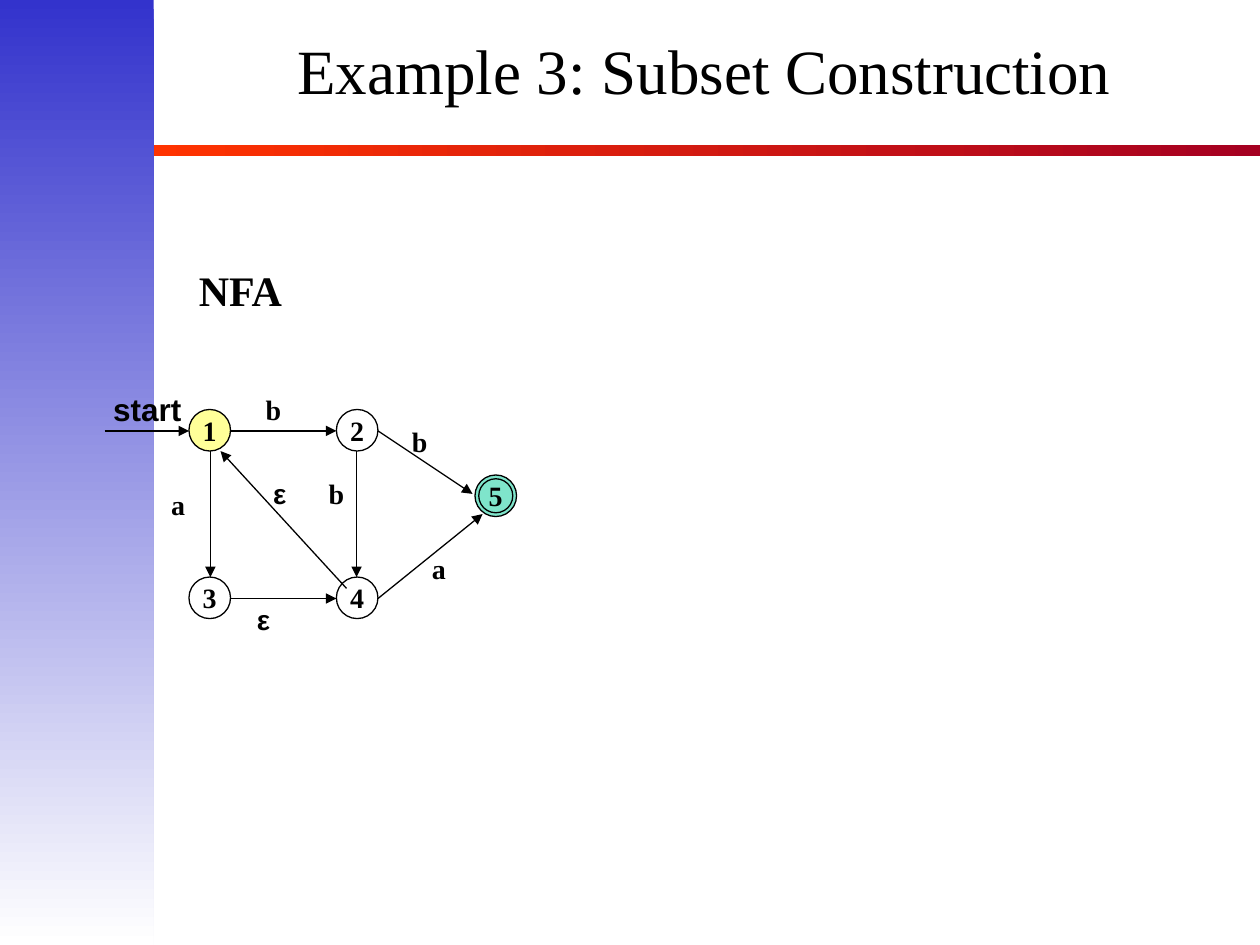
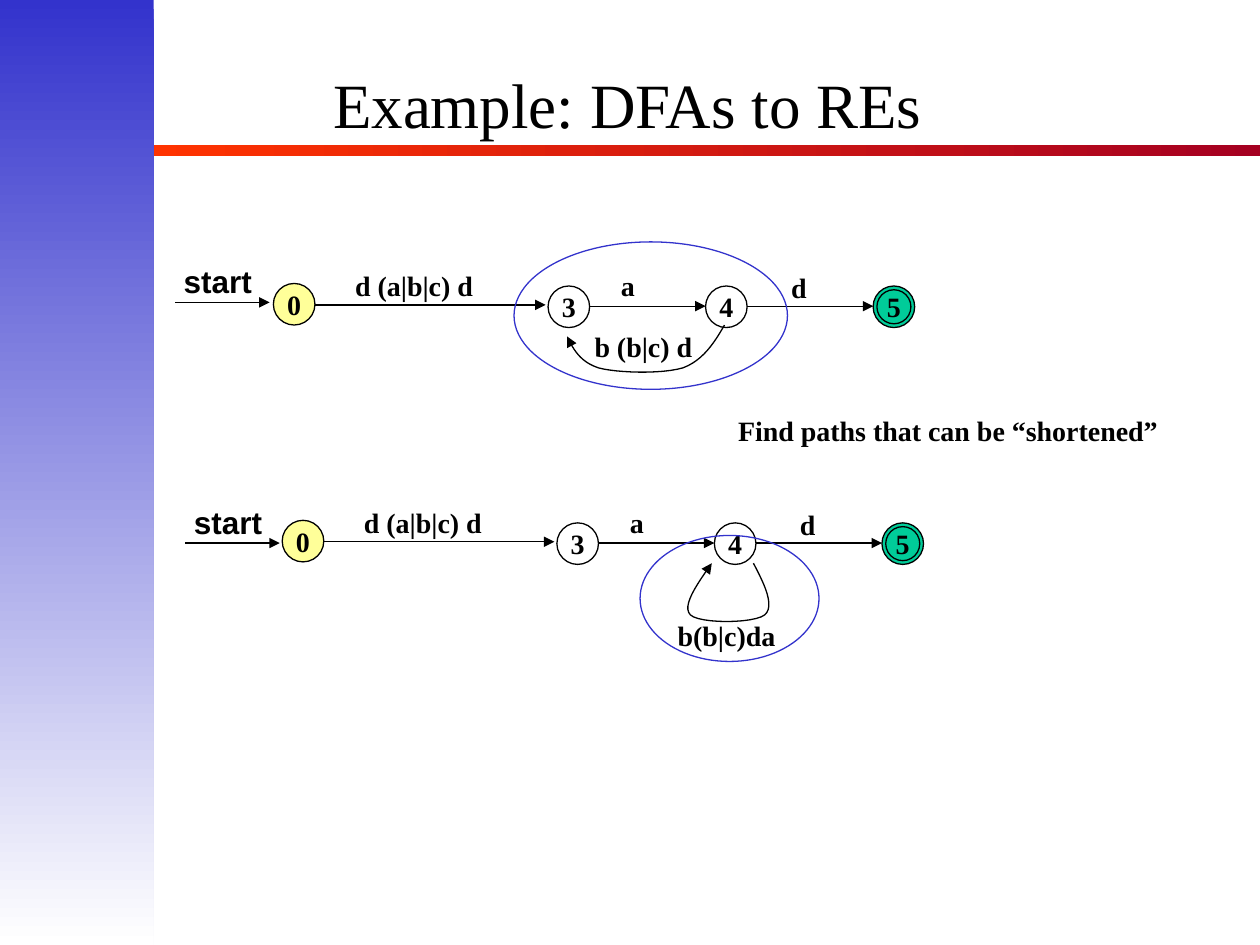
import pptx
import pptx.util
from pptx.dml.color import RGBColor
from pptx.enum.shapes import MSO_CONNECTOR, MSO_SHAPE
from pptx.enum.text import MSO_ANCHOR, MSO_AUTO_SIZE, PP_ALIGN
from pptx.oxml.ns import qn
from pptx.util import Inches
from lxml import etree

BLACK = RGBColor(0x00, 0x00, 0x00)
WHITE = RGBColor(0xFF, 0xFF, 0xFF)
BLUE = RGBColor(0x33, 0x33, 0xCC)
ORANGE_RED = RGBColor(0xFF, 0x33, 0x00)
DARK_RED = RGBColor(0xA5, 0x00, 0x21)
START_YELLOW = RGBColor(0xFF, 0xFF, 0x99)
ACCEPT_GREEN = RGBColor(0x00, 0xCC, 0x99)

SERIF = "Times New Roman"
SANS = "Arial"
STATE_SIZE = 0.33
RING_INSET = 0.03
LINE_WIDTH = pptx.util.Pt(0.75)
CURVE_STEPS = 12


def write(frame, text, size, font=SERIF, bold=True, align=PP_ALIGN.LEFT):
    frame.text = text
    paragraph = frame.paragraphs[0]
    paragraph.alignment = align
    run_font = paragraph.runs[0].font
    run_font.name = font
    run_font.size = pptx.util.Pt(size)
    run_font.bold = bold
    run_font.color.rgb = BLACK
    return paragraph


def add_gradient_band(slide, box, colors, angle):
    band = slide.shapes.add_shape(MSO_SHAPE.RECTANGLE, *map(Inches, box))
    band.shadow.inherit = False
    band.line.fill.background()
    band.fill.gradient()
    band.fill.gradient_angle = angle
    for stop, color in zip(band.fill.gradient_stops, colors):
        stop.color.rgb = color


def add_slide(deck, title, title_box):
    """Add a blank slide with the shared bands and a centred title."""
    slide = deck.slides.add_slide(deck.slide_layouts[6])
    add_gradient_band(slide, (1.2, 1.15, 8.8, 0.09), (ORANGE_RED, DARK_RED), 0)
    add_gradient_band(slide, (0, 0, 1.22, 7.5), (BLUE, WHITE), 270)
    frame = slide.shapes.add_textbox(*map(Inches, title_box)).text_frame
    frame.word_wrap = True
    frame.vertical_anchor = MSO_ANCHOR.MIDDLE
    write(frame, title, 36, bold=False, align=PP_ALIGN.CENTER).line_spacing = 0.8
    return slide


def add_ellipse(slide, box, fill=None, outline=BLACK):
    ellipse = slide.shapes.add_shape(MSO_SHAPE.OVAL, *map(Inches, box))
    ellipse.shadow.inherit = False
    ellipse.line.color.rgb = outline
    ellipse.line.width = LINE_WIDTH
    if fill is None:
        ellipse.fill.background()
    else:
        ellipse.fill.solid()
        ellipse.fill.fore_color.rgb = fill
    return ellipse


def add_state(slide, name, left, top, fill=None):
    state = add_ellipse(slide, (left, top, STATE_SIZE, STATE_SIZE), fill)
    frame = state.text_frame
    frame.word_wrap = False
    frame.vertical_anchor = MSO_ANCHOR.MIDDLE
    write(frame, name, 16, align=PP_ALIGN.CENTER)
    return state


def add_accepting_state(slide, name, left, top):
    """Draw a green state with the inner ring that marks acceptance."""
    state = add_state(slide, name, left, top, ACCEPT_GREEN)
    ring = STATE_SIZE - 2 * RING_INSET
    add_ellipse(slide, (left + RING_INSET, top + RING_INSET, ring, ring))
    return state


def make_half_transparent(shape):
    color = shape._element.spPr.find(qn("a:solidFill"))[0]
    etree.SubElement(color, qn("a:alpha")).set("val", "50000")


def finish_arrow(arrow):
    """Give a connector or curve its black line and closing arrowhead."""
    arrow.line.color.rgb = BLACK
    arrow.line.width = LINE_WIDTH
    outline = arrow._element.spPr.find(qn("a:ln"))
    etree.SubElement(outline, qn("a:tailEnd")).set("type", "triangle")


def add_arrow(slide, x1, y1, x2, y2):
    arrow = slide.shapes.add_connector(
        MSO_CONNECTOR.STRAIGHT, *map(Inches, (x1, y1, x2, y2)))
    finish_arrow(arrow)
    etree.SubElement(arrow._element.spPr, qn("a:effectLst"))


def bezier(p0, p1, p2, p3):
    for step in range(1, CURVE_STEPS + 1):
        t = step / CURVE_STEPS
        u = 1 - t
        yield tuple(
            Inches(u**3 * a + 3 * u * u * t * b + 3 * u * t * t * c + t**3 * d)
            for a, b, c, d in zip(p0, p1, p2, p3))


def add_curved_arrow(slide, knots):
    """Draw joined cubic curves; knots are start, then control, control, end."""
    points = [point for i in range(0, len(knots) - 1, 3)
              for point in bezier(*knots[i:i + 4])]
    builder = slide.shapes.build_freeform(*map(Inches, knots[0]))
    builder.add_line_segments(points, close=False)
    curve = builder.convert_to_shape()
    curve.shadow.inherit = False
    curve.fill.background()
    finish_arrow(curve)


def add_label(slide, text, left, top, width, height=0.37, size=16, font=SERIF):
    label = slide.shapes.add_textbox(*map(Inches, (left, top, width, height)))
    frame = label.text_frame
    frame.word_wrap = False
    frame.auto_size = MSO_AUTO_SIZE.SHAPE_TO_FIT_TEXT
    write(frame, text, size, font)


def add_start(slide, left, y, length):
    add_arrow(slide, left, y, left + length, y)
    add_label(slide, "start", left - 0.03, y - 0.37, 0.76, 0.4, 18, SANS)


def build_subset_construction(deck):
    slide = add_slide(deck, "Example 3: Subset Construction", (1.18, 0, 8.82, 1.22))
    add_label(slide, "NFA", 1.48, 2.05, 0.88, 0.5, 24)

    for name, left, top, fill in (("1", 1.5, 3.25, START_YELLOW), ("2", 2.67, 3.25, WHITE),
                                  ("3", 1.5, 4.58, WHITE), ("4", 2.67, 4.58, WHITE)):
        add_state(slide, name, left, top, fill)
    make_half_transparent(add_accepting_state(slide, "5", 3.77, 3.77))

    for y in (3.42, 4.75):
        add_arrow(slide, 1.83, y, 2.67, y)
    for x in (1.67, 2.83):
        add_arrow(slide, x, 3.58, x, 4.58)
    add_arrow(slide, 3, 4.75, 3.83, 4.08)
    add_arrow(slide, 3, 3.42, 3.75, 3.92)
    add_arrow(slide, 2.75, 4.67, 1.75, 3.58)
    add_start(slide, 0.83, 3.42, 0.67)

    for left, top in ((2.01, 3.07), (2.51, 3.73), (3.17, 3.32)):
        add_label(slide, "b", left, top, 0.32)
    for left, top in ((1.26, 3.82), (3.33, 4.33)):
        add_label(slide, "a", left, top, 0.31)
    for left, top in ((1.94, 4.73), (2.07, 3.73)):
        add_label(slide, "ε", left, top, 0.29, font=SANS)


def add_dfa_row(slide, dx, dy):
    """Draw the chain 0, 3, 4, 5, moved by dx and dy from the first row."""
    add_state(slide, "0", 2.17 + dx, 2.25 + dy, START_YELLOW)
    add_state(slide, "3", 4.35 + dx, 2.27 + dy)
    add_state(slide, "4", 5.6 + dx, 2.27 + dy)
    add_accepting_state(slide, "5", 6.93 + dx, 2.27 + dy)
    for x1, x2, y in ((2.5, 4.33, 2.42), (4.68, 5.6, 2.43), (5.93, 6.93, 2.43)):
        add_arrow(slide, x1 + dx, y + dy, x2 + dx, y + dy)
    for text, left, top, width in (("d (a|b|c) d", 2.72, 2.08, 1.18),
                                   ("a", 4.83, 2.08, 0.31), ("d", 6.18, 2.1, 0.32)):
        add_label(slide, text, left + dx, top + dy, width)


def build_dfas_to_res(deck):
    slide = add_slide(deck, "Example: DFAs to REs", (0.73, 0.25, 8.5, 1.25))

    add_dfa_row(slide, 0, 0)
    add_start(slide, 1.39, 2.4, 0.75)
    add_curved_arrow(slide, [
        (5.75, 2.58), (5.67, 2.72), (5.58, 2.86), (5.42, 2.92), (5.25, 2.97),
        (4.9, 2.96), (4.75, 2.92), (4.6, 2.87), (4.55, 2.77), (4.5, 2.67)])
    add_label(slide, "b (b|c) d", 4.62, 2.57, 1.02)
    add_ellipse(slide, (4.08, 1.92, 2.17, 1.17), outline=BLUE)

    add_label(slide, "Find paths that can be “shortened”", 5.76, 3.23, 3.57)

    add_dfa_row(slide, 0.07, 1.88)
    add_start(slide, 1.47, 4.31, 0.75)
    add_curved_arrow(slide, [
        (5.98, 4.47), (6.07, 4.64), (6.15, 4.81), (6.07, 4.88), (5.98, 4.95),
        (5.55, 4.95), (5.48, 4.88), (5.41, 4.81), (5.53, 4.64), (5.65, 4.47)])
    add_label(slide, "b(b|c)da", 5.28, 4.86, 1.02)
    add_ellipse(slide, (5.08, 4.25, 1.42, 1), outline=BLUE)


def main():
    deck = pptx.Presentation()
    deck.slide_width = Inches(10)
    deck.slide_height = Inches(7.5)
    build_subset_construction(deck)
    build_dfas_to_res(deck)
    deck.save("out.pptx")


if __name__ == "__main__":
    main()
